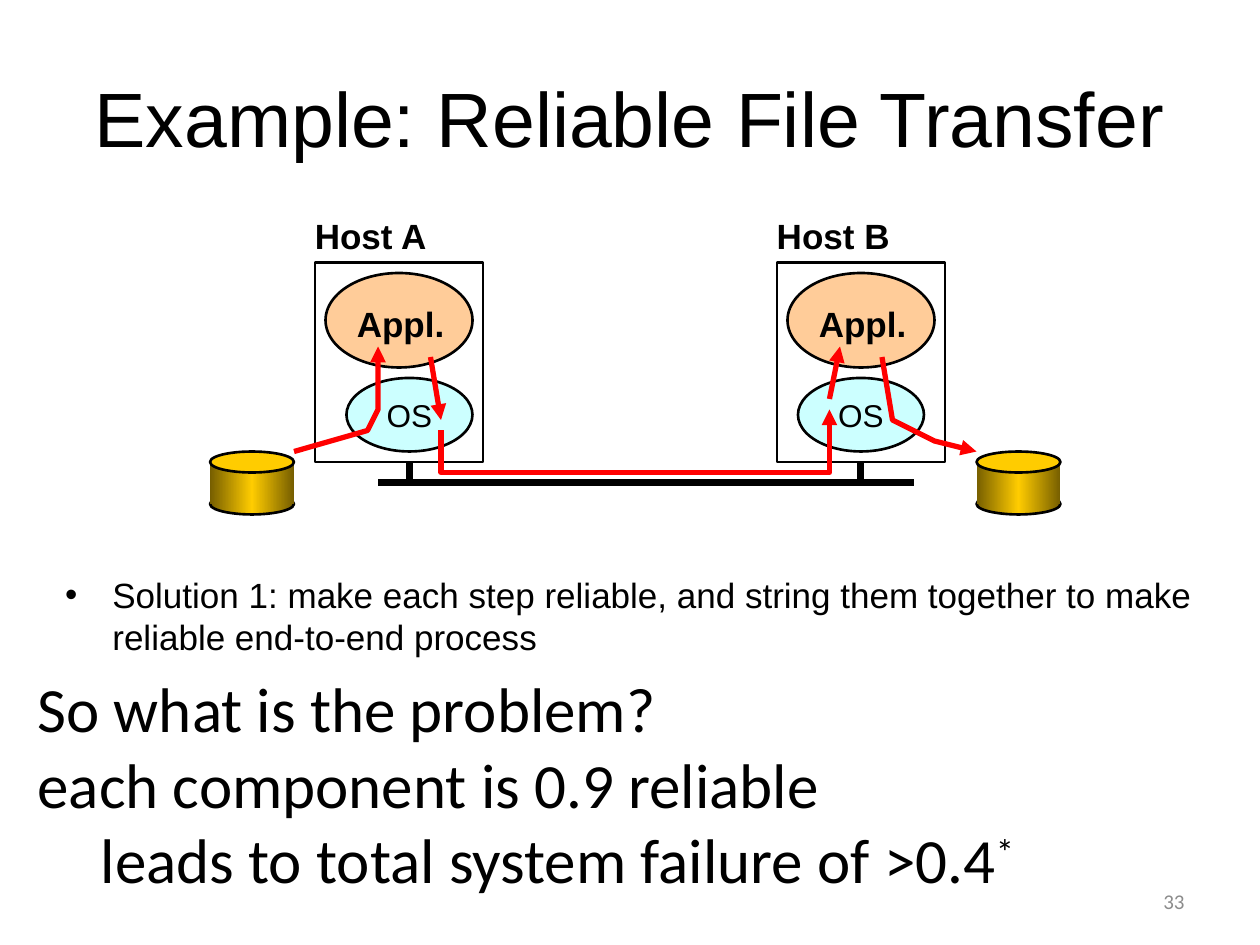
import copy
import dataclasses

import lxml.etree
import pptx
import pptx.dml.color
import pptx.enum.dml
import pptx.enum.shapes
import pptx.enum.text
import pptx.oxml.ns
import pptx.util

EMU_PER_PX = 914400 // 120
SHAPE = pptx.enum.shapes.MSO_SHAPE
ALIGN = pptx.enum.text.PP_ALIGN
MIDDLE = pptx.enum.text.MSO_ANCHOR.MIDDLE


def rgb(value):
    return pptx.dml.color.RGBColor.from_string(value)


@dataclasses.dataclass(frozen=True)
class Theme:
    font: str = "Arial"
    plain_font: str = "Calibri"
    ink: str = "000000"
    muted: str = "8C8C8C"
    application: str = "FFCC99"
    system: str = "CCFFFF"
    disk: str = "FFCC00"
    disk_edge: str = "765E00"
    flow: str = "FF0000"
    title_size: int = 44
    problem_size: int = 36
    body_size: int = 20
    system_size: int = 18
    number_size: int = 12
    outline: float = 1.5
    flow_line: int = 3
    bus_line: int = 4


THEME = Theme()


def px(*values):
    return [pptx.util.Emu(value * EMU_PER_PX) for value in values]


def format_text(text_frame, size, font=THEME.font, color=THEME.ink, bold=False, align=ALIGN.LEFT):
    for paragraph in text_frame.paragraphs:
        paragraph.alignment = align
        for run in paragraph.runs:
            run.font.size = pptx.util.Pt(size)
            run.font.name = font
            run.font.bold = bold
            run.font.color.rgb = rgb(color)


def add_text(slide, box, text, size, wrap=False, **style):
    text_frame = slide.shapes.add_textbox(*px(*box)).text_frame
    text_frame.text = text
    text_frame.word_wrap = wrap
    format_text(text_frame, size, **style)
    return text_frame


def set_line(shape, color, width):
    shape.line.color.rgb = rgb(color)
    shape.line.width = pptx.util.Pt(width)


def add_preset(slide, kind, box, fill=None, outlined=True):
    shape = slide.shapes.add_shape(kind, *px(*box))
    shape.shadow.inherit = False
    if fill:
        shape.fill.solid()
        shape.fill.fore_color.rgb = rgb(fill)
    else:
        shape.fill.background()
    if outlined:
        set_line(shape, THEME.ink, THEME.outline)
    else:
        shape.line.fill.background()
    return shape


def shade_disk(shape):
    """Give the shape a left-to-right gradient that is bright in the middle."""
    shape.fill.gradient()
    shape.fill.gradient_angle = 0
    stop_list = shape._element.spPr.find(".//" + pptx.oxml.ns.qn("a:gsLst"))
    stop_list.append(copy.deepcopy(stop_list[0]))
    colors = (THEME.disk_edge, THEME.disk, THEME.disk_edge)
    for index, (stop, color) in enumerate(zip(shape.fill.gradient_stops, colors)):
        stop.position = index / 2
        stop.color.rgb = rgb(color)


def add_line(slide, start, end, color, width):
    connector = slide.shapes.add_connector(
        pptx.enum.shapes.MSO_CONNECTOR.STRAIGHT, *px(*start, *end))
    set_line(connector, color, width)
    lxml.etree.SubElement(connector._element.spPr, pptx.oxml.ns.qn("a:effectLst"))
    return connector


def add_flow(slide, points):
    """Draw one red step of the transfer, with an arrowhead at its last point."""
    if len(points) == 2:
        shape = add_line(slide, *points, THEME.flow, THEME.flow_line)
    else:
        builder = slide.shapes.build_freeform(*points[0], scale=EMU_PER_PX)
        builder.add_line_segments(points[1:], close=False)
        shape = builder.convert_to_shape()
        shape.shadow.inherit = False
        shape.fill.background()
        set_line(shape, THEME.flow, THEME.flow_line)
    lxml.etree.SubElement(
        shape.line._get_or_add_ln(), pptx.oxml.ns.qn("a:tailEnd"), type="triangle")


def add_disk(slide, left, top):
    shade_disk(add_preset(slide, SHAPE.OVAL, (left, top + 40, 80, 20)))
    shade_disk(add_preset(slide, SHAPE.RECTANGLE, (left, top + 10, 80, 40), outlined=False))
    add_preset(slide, SHAPE.OVAL, (left, top, 80, 20), THEME.disk)


def add_host(slide, left, top, name, system_offset):
    add_preset(slide, SHAPE.OVAL, (left + 10, top + 10, 140, 90), THEME.application)
    add_preset(slide, SHAPE.RECTANGLE, (left, top, 160, 190))
    system = add_preset(
        slide, SHAPE.OVAL, (left + system_offset, top + 110, 120, 70), THEME.system)
    system.text_frame.text = "OS"
    system.text_frame.word_wrap = False
    system.text_frame.vertical_anchor = MIDDLE
    format_text(system.text_frame, THEME.system_size, align=ALIGN.CENTER)
    add_text(slide, (left + 28, top + 32, 108, 52), "Appl.", THEME.body_size, bold=True)
    add_text(slide, (left - 12, top - 52, 132, 52), name, THEME.body_size, bold=True)


def add_network(slide, left, top):
    bus = top + 20
    lines = [((left, bus), (left + 510, bus))]
    lines += [((left + x, top), (left + x, bus)) for x in (30, 460)]
    for start, end in lines:
        add_line(slide, start, end, THEME.ink, THEME.bus_line)


def add_diagram(slide, left, top):
    for x in (0, 730):
        add_disk(slide, left + x, top + 180)
    add_host(slide, left + 100, top, "Host A", 30)
    add_host(slide, left + 540, top, "Host B", 20)
    add_network(slide, left + 160, top + 190)
    steps = (
        ((80, 180), (150, 160), (160, 140), (160, 80)),
        ((210, 90), (220, 150)),
        ((220, 160), (220, 200), (590, 200), (590, 140)),
        ((590, 130), (600, 80)),
        ((640, 90), (650, 150), (690, 170), (730, 180)),
    )
    for step in steps:
        add_flow(slide, [(left + x, top + y) for x, y in step])


def fill_placeholder(placeholder, box, text, size, align):
    placeholder.left, placeholder.top, placeholder.width, placeholder.height = px(*box)
    text_frame = placeholder.text_frame
    text_frame.text = text
    text_frame.auto_size = pptx.enum.text.MSO_AUTO_SIZE.NONE
    text_frame.paragraphs[0].space_before = pptx.util.Pt(0)
    format_text(text_frame, size, align=align)


def add_problem(slide, box):
    text_frame = add_text(
        slide, box,
        "So what is the problem?\neach component is 0.9 reliable\n"
        "leads to total system failure of >0.4",
        THEME.problem_size, wrap=True, font=THEME.plain_font)
    conclusion = text_frame.paragraphs[-1]
    conclusion._p.get_or_add_pPr().set("marL", str(60 * EMU_PER_PX))
    mark = conclusion.add_run()
    mark.text = "*"
    mark._r.get_or_add_rPr().set("baseline", "30000")
    format_text(text_frame, THEME.problem_size, font=THEME.plain_font)


def build_slide(presentation):
    slide = presentation.slides.add_slide(presentation.slide_layouts[1])
    fill_placeholder(slide.shapes.title, (60, 36, 1080, 150),
                     "Example: Reliable File Transfer", THEME.title_size, ALIGN.CENTER)
    fill_placeholder(slide.placeholders[1], (50, 540, 1130, 290),
                     "Solution 1: make each step reliable, and string them together "
                     "to make reliable end-to-end process", THEME.body_size, ALIGN.LEFT)
    add_diagram(slide, 200, 250)
    number = add_text(slide, (860, 834, 280, 48), "33", THEME.number_size, wrap=True,
                      font=THEME.plain_font, color=THEME.muted, align=ALIGN.RIGHT)
    number.vertical_anchor = MIDDLE
    add_problem(slide, (24, 632, 1100, 230))


def main():
    presentation = pptx.Presentation()
    presentation.slide_width, presentation.slide_height = px(1200, 900)
    build_slide(presentation)
    presentation.save("out.pptx")


if __name__ == "__main__":
    main()
